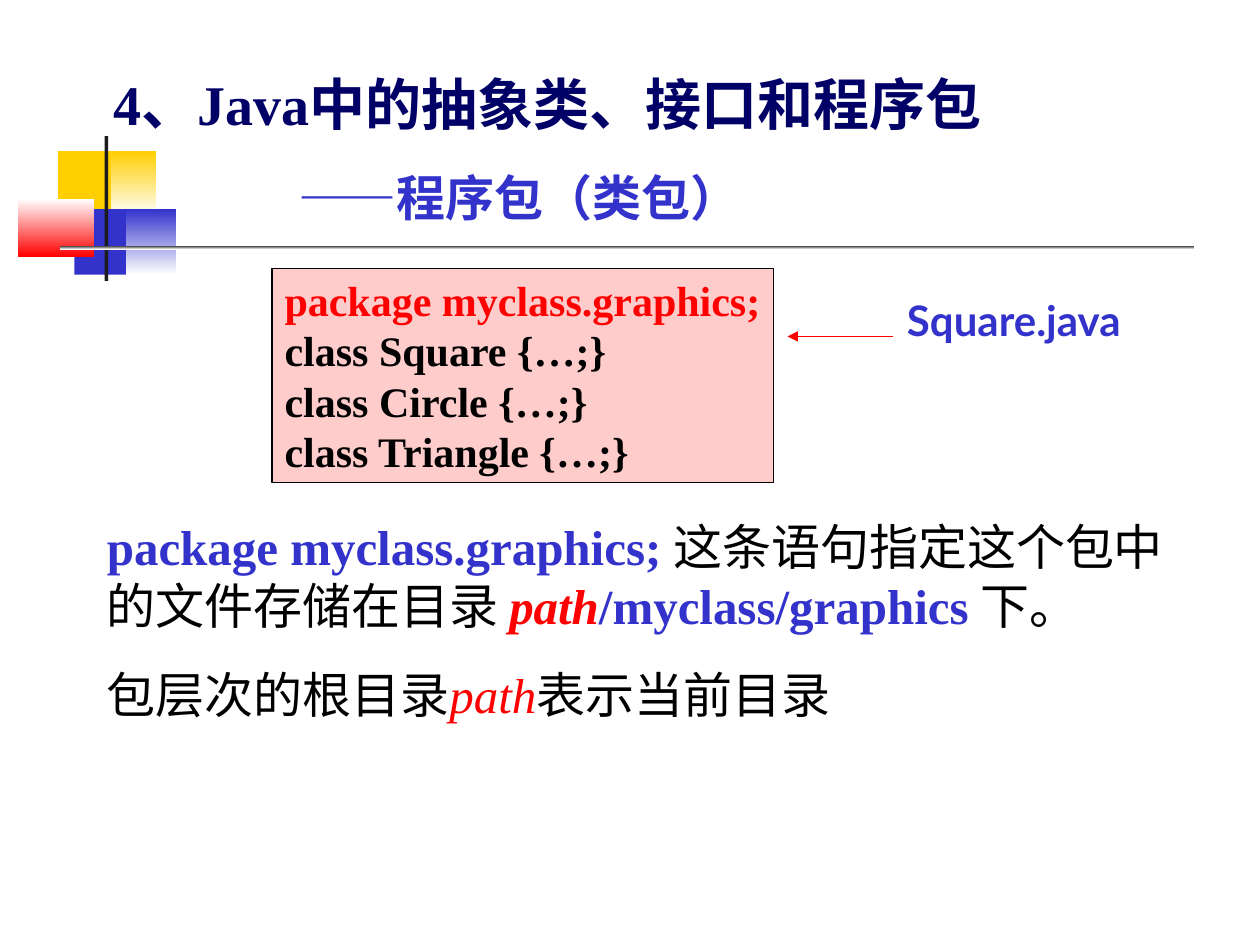
from lxml import etree
from pptx import Presentation
from pptx.dml.color import RGBColor
from pptx.enum import shapes, text
from pptx.oxml import ns
from pptx.util import Inches, Pt

SERIF = "Times New Roman"
NAVY, BLUE, RED, BLACK, WHITE = "000066", "3333CC", "FF0000", "000000", "FFFFFF"
GOLD, DARK, PINK = "FFCF01", "1C1C1C", "FFCCCC"


def rgb(code):
    return RGBColor.from_string(code)


def place(shape, left, top, width, height):
    shape.left, shape.top = Inches(left), Inches(top)
    shape.width, shape.height = Inches(width), Inches(height)


def style(font, size, color, bold, name=SERIF):
    font.name, font.size, font.bold = name, Pt(size), bold
    font.color.rgb = rgb(color)


def block(slide, left, top, width, height, *colors):
    """Add a rectangle with a plain fill, or a downward blend of two colours."""
    shape = slide.shapes.add_shape(
        shapes.MSO_SHAPE.RECTANGLE,
        Inches(left), Inches(top), Inches(width), Inches(height))
    shape.shadow.inherit = False
    shape.line.fill.background()
    if len(colors) == 1:
        shape.fill.solid()
        shape.fill.fore_color.rgb = rgb(colors[0])
    else:
        shape.fill.gradient()
        shape.fill.gradient_angle = 270
        for stop, color in zip(shape.fill.gradient_stops, colors):
            stop.color.rgb = rgb(color)
    return shape


def write(frame, lines, size, gap=0):
    """Fill a frame; each line is a list of (words, colour, bold, italic) runs."""
    for i, line in enumerate(lines):
        para = frame.paragraphs[0] if i == 0 else frame.add_paragraph()
        para.alignment = text.PP_ALIGN.LEFT
        para.space_before = Pt(gap if i else 0)
        for words, color, bold, italic in line:
            run = para.add_run()
            run.text = words
            style(run.font, size, color, bold)
            run.font.italic = italic


def add_decor(slide, left, top):
    """Draw the overlapping squares and the two rules."""
    parts = [
        (0.32, 0.12, 0.48, 0.52, GOLD),
        (0.74, 0.12, 0.36, 0.52, GOLD, WHITE),
        (0.45, 0.58, 0.46, 0.52, BLUE),
        (0.86, 0.58, 0.4, 0.52, BLUE, WHITE),
        (0, 0.5, 0.61, 0.46, WHITE, RED),
        (0.69, 0, 0.03, 1.15, DARK),
        (0.34, 0.87, 9, 0.03, DARK, WHITE),
    ]
    for x, y, width, height, *colors in parts:
        block(slide, left + x, top + y, width, height, *colors)


def add_title(slide, left, top, width, height):
    title = slide.shapes.title
    place(title, left, top, width, height)
    frame = title.text_frame
    frame.auto_size = text.MSO_AUTO_SIZE.NONE
    frame.vertical_anchor = text.MSO_ANCHOR.TOP
    frame.text = "4、Java中的抽象类、接口和程序包\n——程序包（类包）"
    head, sub = frame.paragraphs
    for para, size, color in ((head, 32, NAVY), (sub, 28, BLUE)):
        para.alignment = text.PP_ALIGN.LEFT
        para.space_before = Pt(0)
        style(para.font, size, color, True)
    sub.space_before = Pt(17.5)
    sub._p.get_or_add_pPr().set("marL", str(Inches(1.47)))


def add_code(slide, left, top, width, height):
    """Draw the code panel with its file name and arrow to the right."""
    panel = block(slide, left, top, width, height, PINK)
    panel.line.color.rgb = rgb(BLACK)
    panel.line.width = Pt(0.75)
    frame = panel.text_frame
    frame.word_wrap = False
    frame.vertical_anchor = text.MSO_ANCHOR.TOP
    names = ("Square", "Circle", "Triangle")
    write(frame, [[("package myclass.graphics;", RED, True, False)]]
          + [[(f"class {name} {{…;}}", BLACK, True, False)] for name in names], 24)

    right = left + width
    arrow = slide.shapes.add_connector(
        shapes.MSO_CONNECTOR.STRAIGHT,
        Inches(right + 0.95), Inches(top + 0.54),
        Inches(right + 0.11), Inches(top + 0.54))
    arrow.line.color.rgb = rgb(RED)
    arrow.line.width = Pt(0.75)
    etree.SubElement(arrow.line._get_or_add_ln(), ns.qn("a:tailEnd"), type="triangle")
    etree.SubElement(arrow._element.spPr, ns.qn("a:effectLst"))

    label = slide.shapes.add_textbox(
        Inches(right + 0.96), Inches(top + 0.16), Inches(2.16), Inches(0.5))
    label.text_frame.word_wrap = True
    label.text_frame.text = "Square.java"
    style(label.text_frame.paragraphs[0].font, 24, BLUE, True, "Lato")


def add_notes(slide, left, top, width, height):
    """Explain where the files of the package are stored."""
    box = slide.shapes.add_textbox(
        Inches(left), Inches(top), Inches(width), Inches(height))
    box.text_frame.word_wrap = True
    write(box.text_frame, [
        [("package myclass.graphics; ", BLUE, True, False),
         ("这条语句指定这个包中的文件存储在目录 ", BLACK, False, False),
         ("path", RED, True, True),
         ("/myclass/graphics ", BLUE, True, False),
         ("下。", BLACK, False, False)],
        [("包层次的根目录", BLACK, False, False),
         ("path", RED, False, True),
         ("表示当前目录", BLACK, False, False)],
    ], 28, gap=17.5)


def main():
    deck = Presentation()
    deck.slide_width, deck.slide_height = Inches(10), Inches(7.5)
    slide = deck.slides.add_slide(deck.slide_layouts[5])
    add_decor(slide, 0.14, 1.08)
    add_title(slide, 0.8, 0.5, 8.4, 1.35)
    add_code(slide, 2.16, 2.13, 3.98, 1.7)
    add_notes(slide, 0.75, 4.05, 8.67, 1.75)
    deck.save("out.pptx")


if __name__ == "__main__":
    main()
